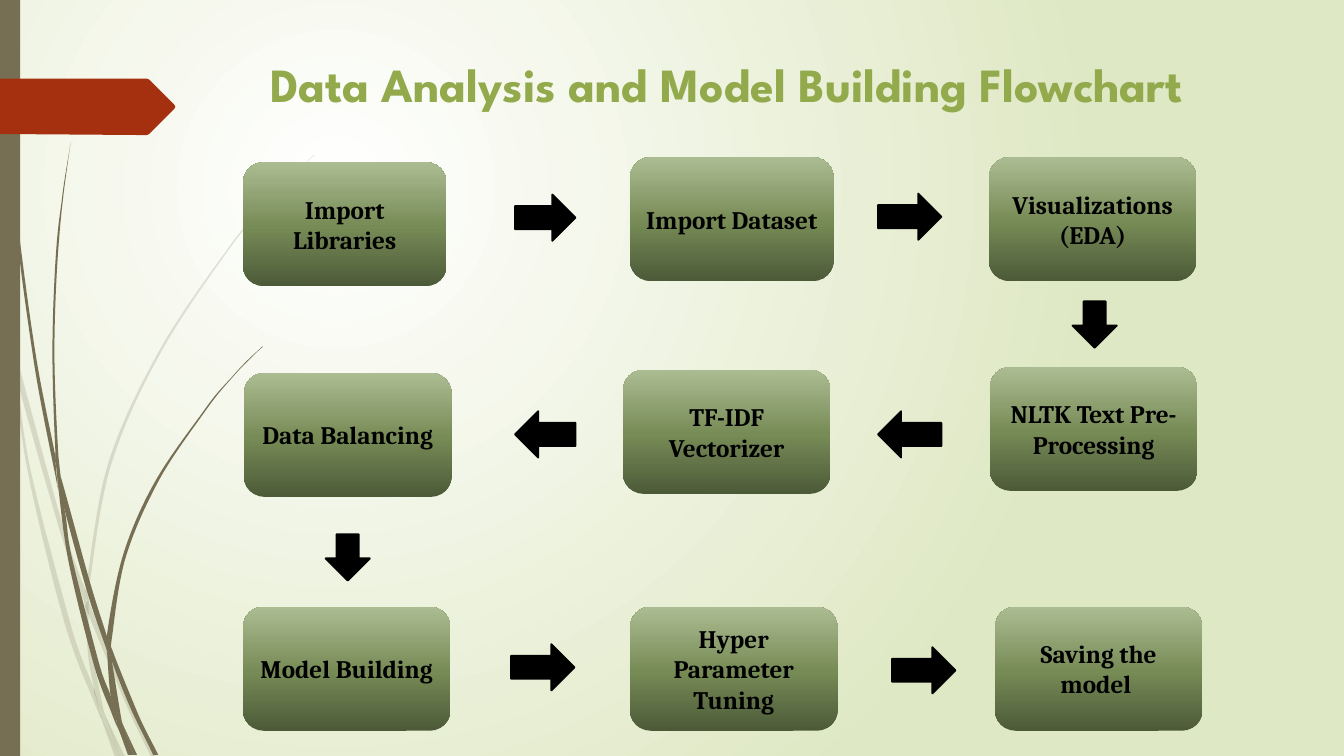
from lxml.etree import SubElement
from pptx import Presentation
from pptx.dml.color import RGBColor
from pptx.enum.shapes import MSO_SHAPE
from pptx.enum.text import MSO_ANCHOR, PP_ALIGN
from pptx.oxml.ns import qn
from pptx.util import Emu, Pt

PX = 9144  # 100 px to the inch
COLORS = {
    "white": "FFFFFF", "cream": "DFE8C4", "stem": "766F54", "banner": "A53010",
    "black": "000000", "box_dark": "4C5A38", "box_mid": "778B56", "box_light": "ACBC92",
    "title_dark": "495526", "title_mid": "92AA4C", "title_light": "BFCE92",
}

# Content: steps as (lines, left, top, width), arrows as (kind, left, top, width)
TITLE = "Data Analysis and Model Building Flowchart"
TITLE_BOX = (176, 50, 1090, 125)
STEP_HEIGHT = 123
STEPS = [
    (["Import Libraries"], 241, 161, 202),
    (["Import Dataset"], 625, 156, 202),
    (["Visualizations", "(EDA)"], 981, 156, 206),
    (["NLTK Text Pre-Processing"], 982, 364, 206),
    (["TF-IDF Vectorizer"], 618, 367, 206),
    (["Data Balancing"], 242, 370, 206),
    (["Model Building"], 241, 602, 206),
    (["Hyper Parameter Tuning"], 625, 602, 206),
    (["Saving the model "], 987, 602, 206),
]
ARROW_HEIGHT = 46
RIGHT, LEFT, DOWN = MSO_SHAPE.RIGHT_ARROW, MSO_SHAPE.LEFT_ARROW, MSO_SHAPE.DOWN_ARROW
ARROWS = [
    (RIGHT, 511, 193, 60), (RIGHT, 871, 192, 63), (DOWN, 1064, 299, 44),
    (LEFT, 871, 408, 63), (LEFT, 511, 408, 60), (DOWN, 323, 530, 44),
    (RIGHT, 507, 639, 63), (RIGHT, 885, 642, 63),
]

# Grass blades: the two curved edges of each piece
FAINT_BLADES = [
    ([(11, 350), (9, 322), (0, 282)], [(0, 299), (10, 344), (11, 350)]),
    ([(14, 345), (17, 376), (58, 522), (84, 599)], [(85, 586), (62, 520), (14, 345)]),
    ([(88, 596), (88, 610), (123, 694), (150, 751)], [(155, 751), (127, 692), (92, 607), (88, 596)]),
    ([(119, 751), (124, 751)], [(105, 711), (119, 751)]),
    ([(11, 350), (28, 470), (65, 621), (92, 693), (101, 714)],
     [(99, 707), (93, 683), (70, 619), (31, 469), (17, 376), (11, 350)]),
    ([(84, 599), (87, 646), (93, 683), (96, 692), (105, 711)],
     [(103, 706), (91, 646), (88, 610), (88, 608), (84, 599)]),
    ([(88, 584), (110, 462), (160, 349), (229, 245), (268, 198), (290, 175), (312, 154)],
     [(312, 153), (289, 175), (268, 197), (228, 244), (158, 348), (107, 461), (85, 584),
      (85, 586), (88, 596)]),
    ([(101, 714), (114, 751)], [(119, 751), (101, 714)]),
    ([(88, 608), (88, 610), (88, 596)], [(85, 586), (84, 599), (88, 608)]),
    ([(96, 692), (93, 683), (99, 707), (101, 714), (119, 751)], [(119, 751), (105, 711), (96, 692)]),
]
BLADES = [
    ([(3, 0), (4, 48), (7, 110), (17, 233), (33, 355), (56, 477), (57, 481)],
     [(55, 457), (55, 453), (36, 355), (19, 232), (8, 109), (5, 48), (4, 0)]),
    ([(60, 472), (64, 505), (88, 592), (106, 645)], [(106, 633), (106, 631), (93, 590), (60, 472)]),
    ([(110, 641), (111, 656), (132, 708), (152, 749)], [(157, 749), (136, 706), (113, 649), (110, 641)]),
    ([(57, 477), (68, 557), (93, 659), (111, 708), (117, 722)],
     [(116, 717), (110, 691), (98, 657), (72, 556), (64, 505), (57, 477)]),
    ([(70, 141), (62, 193), (56, 245), (52, 349), (55, 449), (60, 472)],
     [(58, 453), (54, 349), (58, 245), (63, 193), (70, 141)]),
    ([(133, 749), (136, 749)], [(122, 719), (133, 749)]),
    ([(57, 477), (64, 505), (60, 472)], [(55, 449), (55, 453), (57, 477)]),
    ([(111, 633), (125, 552), (158, 476), (205, 406), (231, 374), (245, 359), (261, 344)],
     [(260, 344), (245, 358), (231, 373), (204, 405), (156, 474), (122, 551), (106, 631), (110, 641)]),
    ([(117, 722), (127, 749)], [(131, 749), (117, 722)]),
    ([(106, 645), (110, 691), (116, 706), (122, 719)],
     [(121, 716), (111, 656), (109, 651), (106, 645)]),
    ([(106, 645), (109, 651), (111, 656), (110, 641)], [(106, 631), (106, 633), (106, 645)]),
    ([(116, 706), (110, 691), (116, 717), (117, 722), (130, 749)],
     [(133, 749), (122, 719), (116, 706)]),
]
SIDE_BAR = (0, 0, 20, 750)
BANNER = [(173, 108), (148, 133), (146, 134), (136, 134), (0, 133), (0, 78), (136, 78),
          (146, 78), (148, 79), (173, 104), (174, 106)]

deck = Presentation()
deck.slide_width, deck.slide_height = Emu(750 * PX * 16 // 9), Emu(750 * PX)
page = deck.slides.add_slide(deck.slide_layouts[6])


def rgb(name):
    return RGBColor.from_string(COLORS[name])


def set_gradient(fill, owner, stops, angle=None):
    """Fill with (percent, colour) stops, linear by angle or else circular."""
    fill.gradient()
    gradient = next(owner.iter(qn("a:gradFill")))
    for child in list(gradient):
        gradient.remove(child)
    stop_list = SubElement(gradient, qn("a:gsLst"))
    for percent, name in stops:
        stop = SubElement(stop_list, qn("a:gs"), pos=str(percent * 1000))
        SubElement(stop, qn("a:srgbClr"), val=COLORS[name])
    if angle is None:
        circle = SubElement(gradient, qn("a:path"), attrib={"path": "circle"})
        SubElement(circle, qn("a:fillToRect"), l="50000", t="50000", r="100000", b="100000")
    else:
        SubElement(gradient, qn("a:lin"), ang=str(angle * 60000), scaled="0")


def paint(shape, name, alpha=None):
    shape.shadow.inherit = False
    shape.line.fill.background()
    shape.fill.solid()
    shape.fill.fore_color.rgb = rgb(name)
    if alpha:
        color = next(shape.element.spPr.iter(qn("a:srgbClr")))
        SubElement(color, qn("a:alpha"), val=str(alpha * 1000))


def add_preset(kind, left, top, width, height):
    return page.shapes.add_shape(kind, *(Emu(n * PX) for n in (left, top, width, height)))


def add_outline(points):
    builder = page.shapes.build_freeform(*points[0], scale=PX)
    builder.add_line_segments(points[1:], close=True)
    return builder.convert_to_shape()


def add_blade(edges):
    """Draw a closed outline and bend the segments of each edge into curves."""
    shape = add_outline(edges[0] + edges[1])
    lines = list(shape.element.iter(qn("a:lnTo")))
    left, top = (min(axis) for axis in zip(*edges[0], *edges[1]))
    unit = PX if int(next(shape.element.iter(qn("a:path"))).get("w")) > PX else 1
    start = 0
    for edge in edges:
        padded = [edge[0], *edge, edge[-1]]
        for index, (a, b, c, d) in enumerate(zip(padded, padded[1:], padded[2:], padded[3:])):
            line = lines[start + index]
            curve = SubElement(line.getparent(), qn("a:cubicBezTo"))
            line.getparent().replace(line, curve)
            controls = [[q + (r - p) / 6 for p, q, r in zip(a, b, c)],
                        [q - (r - p) / 6 for p, q, r in zip(b, c, d)], c]
            for x, y in controls:
                SubElement(curve, qn("a:pt"), x=str(round((x - left) * unit)),
                           y=str(round((y - top) * unit)))
        start += len(edge)
    return shape


def add_span(para, text, font, size):
    para.alignment = PP_ALIGN.CENTER
    span = para.add_run()
    span.text = text
    span.font.name, span.font.size, span.font.bold = font, Pt(size), True
    return span


# Background and side decoration
set_gradient(page.background.fill, page.element, [(0, "white"), (100, "cream")])
for blades, alpha in ((FAINT_BLADES, 20), (BLADES, None)):
    for edges in blades:
        paint(add_blade(edges), "stem", alpha)
paint(add_preset(MSO_SHAPE.RECTANGLE, *SIDE_BAR), "stem")
paint(add_outline(BANNER), "banner")

# Title
title = page.shapes.add_textbox(*(Emu(n * PX) for n in TITLE_BOX))
title.text_frame.word_wrap = True
title_span = add_span(title.text_frame.paragraphs[0], TITLE, "League Spartan", 34)
set_gradient(title_span.font.fill, title.element,
             [(0, "title_dark"), (50, "title_mid"), (100, "title_light")], 90)

# Flowchart steps
for lines, left, top, width in STEPS:
    box = add_preset(MSO_SHAPE.FLOWCHART_ALTERNATE_PROCESS, left, top, width, STEP_HEIGHT)
    box.shadow.inherit = False
    box.line.fill.background()
    set_gradient(box.fill, box.element,
                 [(0, "box_dark"), (48, "box_mid"), (100, "box_light")], 270)
    frame = box.text_frame
    frame.word_wrap = True
    frame.vertical_anchor = MSO_ANCHOR.MIDDLE
    for index, line in enumerate(lines):
        para = frame.add_paragraph() if index else frame.paragraphs[0]
        add_span(para, line, "Cambria", 18).font.color.rgb = rgb("black")

# Arrows between steps
for kind, left, top, width in ARROWS:
    arrow = add_preset(kind, left, top, width, ARROW_HEIGHT)
    paint(arrow, "black")
    arrow.line.color.rgb = rgb("black")
    arrow.line.width = Pt(1.25)

deck.save("out.pptx")
